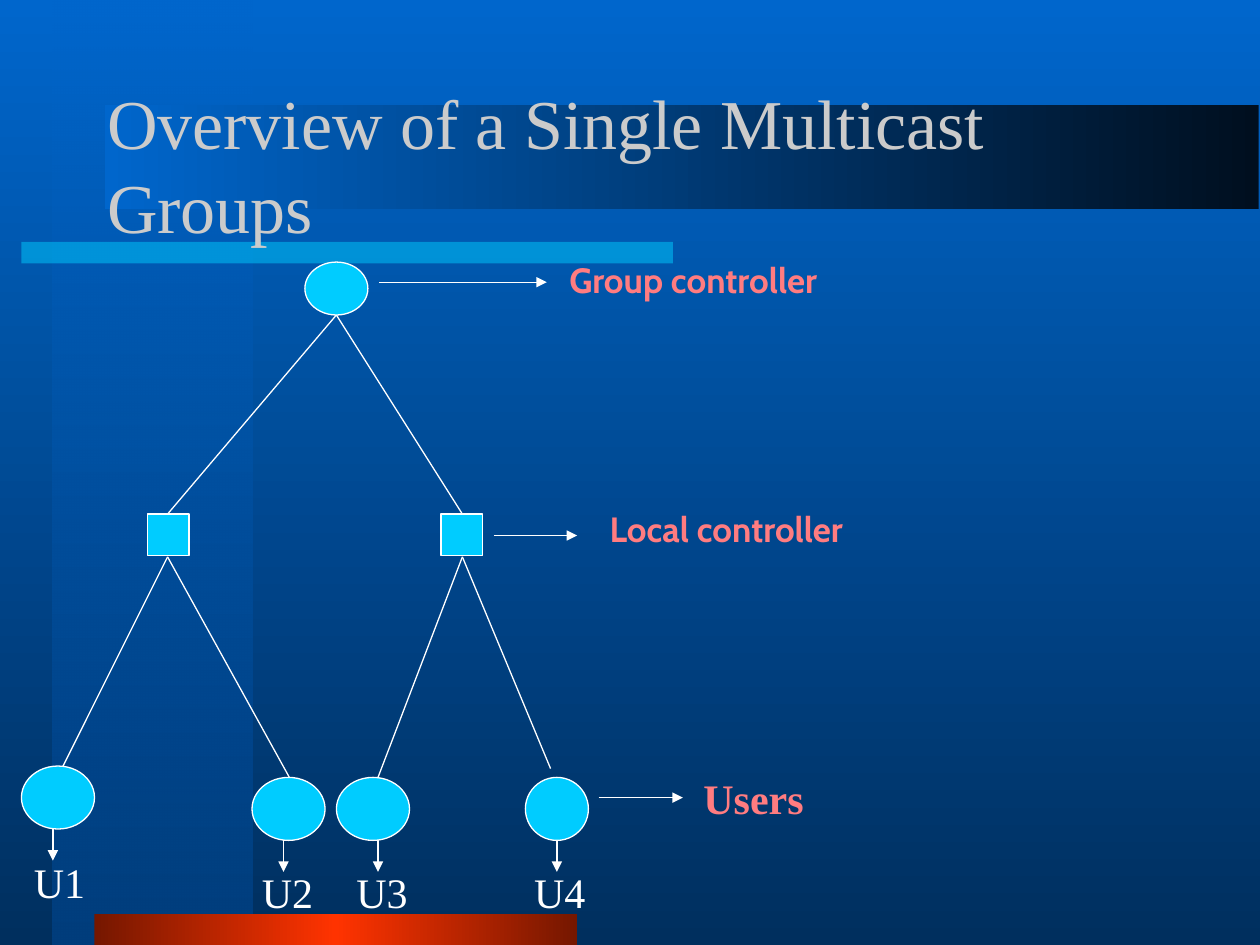
from lxml.etree import SubElement
from pptx import Presentation
from pptx.dml.color import RGBColor
from pptx.enum.shapes import MSO_CONNECTOR, MSO_SHAPE
from pptx.enum.text import MSO_ANCHOR, MSO_AUTO_SIZE, PP_ALIGN
from pptx.oxml.ns import qn
from pptx.util import Inches, Pt

WHITE, CYAN, CORAL, GREY = "FFFFFF", "00CCFF", "FF7C80", "CBCBCB"
SERIF, SANS = "Times New Roman", "Cabin"


def rgb(value):
    return RGBColor.from_string(value)


def set_alpha(clr, percent):
    SubElement(clr, qn("a:alpha")).set("val", str(percent * 1000))


class Deck:
    """Style and current slide, with one method per kind of element."""

    def __init__(self, width, height):
        self.prs = Presentation()
        self.prs.slide_width, self.prs.slide_height = Inches(width), Inches(height)
        self.s = self.prs.slides.add_slide(self.prs.slide_layouts[5])

    def gradient(self, fill, element, stops, angle):
        fill.gradient()
        fill.gradient_angle = angle
        gs_list = element.find(".//" + qn("a:gsLst"))
        for gs in list(gs_list):
            gs_list.remove(gs)
        for pos, color, alpha in stops:
            gs = SubElement(gs_list, qn("a:gs"))
            gs.set("pos", str(pos * 1000))
            clr = SubElement(gs, qn("a:srgbClr"))
            clr.set("val", color)
            if alpha < 100:
                set_alpha(clr, alpha)

    def background(self, stops, angle):
        self.gradient(self.s.background.fill, self.s._element, stops, angle)

    def shape(self, kind, x, y, w, h):
        sp = self.s.shapes.add_shape(kind, Inches(x), Inches(y), Inches(w), Inches(h))
        sp.shadow.inherit = False
        return sp

    def band(self, x, y, w, h, stops, angle):
        sp = self.shape(MSO_SHAPE.RECTANGLE, x, y, w, h)
        sp.line.fill.background()
        self.gradient(sp.fill, sp._element, stops, angle)

    def bar(self, x, y, w, h, color, alpha):
        sp = self.shape(MSO_SHAPE.RECTANGLE, x, y, w, h)
        sp.line.fill.background()
        sp.fill.solid()
        sp.fill.fore_color.rgb = rgb(color)
        set_alpha(sp._element.spPr.find(".//" + qn("a:srgbClr")), alpha)

    def node(self, kind, x, y, w, h):
        sp = self.shape(kind, x, y, w, h)
        sp.fill.solid()
        sp.fill.fore_color.rgb = rgb(CYAN)
        sp.line.color.rgb = rgb(WHITE)
        sp.line.width = Pt(0.75)

    def line(self, x1, y1, x2, y2, arrow=False):
        cxn = self.s.shapes.add_connector(
            MSO_CONNECTOR.STRAIGHT, Inches(x1), Inches(y1), Inches(x2), Inches(y2))
        cxn.line.color.rgb = rgb(WHITE)
        cxn.line.width = Pt(0.75)
        if arrow:
            SubElement(cxn.line._get_or_add_ln(), qn("a:tailEnd")).set("type", "triangle")
        SubElement(cxn._element.spPr, qn("a:effectLst"))

    def run(self, p, text, size, font, color, bold=False):
        r = p.add_run()
        r.text = text
        r.font.size, r.font.name, r.font.bold = Pt(size), font, bold
        r.font.color.rgb = rgb(color)

    def title(self, text, x, y, w, h):
        sp = self.s.shapes.title
        self.s.shapes._spTree.append(sp._element)
        sp.left, sp.top, sp.width, sp.height = Inches(x), Inches(y), Inches(w), Inches(h)
        tf = sp.text_frame
        tf.word_wrap = True
        tf.auto_size = MSO_AUTO_SIZE.NONE
        tf.vertical_anchor = MSO_ANCHOR.MIDDLE
        p = tf.paragraphs[0]
        p.alignment = PP_ALIGN.LEFT
        self.run(p, text, 40, SERIF, GREY)

    def label(self, text, x, y, w, h, size, font, color,
              bold=False, before=0, align=PP_ALIGN.LEFT, wrap=True):
        box = self.s.shapes.add_textbox(Inches(x), Inches(y), Inches(w), Inches(h))
        tf = box.text_frame
        tf.word_wrap = wrap
        tf.auto_size = MSO_AUTO_SIZE.SHAPE_TO_FIT_TEXT
        p = tf.paragraphs[0]
        p.alignment = align
        p.space_before = Pt(before)
        self.run(p, text, size, font, color, bold)


def main():
    deck = Deck(10, 7.5)
    deck.background([(0, "0066CC", 100), (100, "002F5E", 100)], 270)
    deck.band(0.42, 0, 1.58, 7.5, [(0, "0066CC", 50), (100, "003E7D", 100)], 270)
    deck.bar(0.17, 1.92, 5.17, 0.17, CYAN, 50)
    deck.band(0.75, 7.25, 3.83, 0.25,
              [(0, "751700", 100), (50, "FF3300", 100), (100, "751700", 100)], 180)
    deck.band(0.83, 0.83, 9.16, 0.83, [(0, "000F1F", 100), (100, "0066CC", 100)], 180)
    deck.title("Overview of a Single Multicast Groups", 0.75, 0.67, 8.5, 1.25)

    root_x, left_x, right_x = 2.67, 1.33, 3.67
    for x in (left_x, right_x):
        deck.line(root_x, 2.5, x, 4.08)
    for x, end_x, end_y in ((left_x, 0.5, 6.08), (left_x, 2.33, 6.23),
                            (right_x, 3, 6.17), (right_x, 4.37, 6.1)):
        deck.line(x, 4.42, end_x, end_y)

    deck.node(MSO_SHAPE.OVAL, 2.42, 2.08, 0.5, 0.42)
    for x in (1.17, 3.5):
        deck.node(MSO_SHAPE.RECTANGLE, x, 4.08, 0.33, 0.33)

    users = [("U1", 0.17, 6.08, 0.58, 0.42, 0.17, 6.75),
             ("U2", 2, 6.17, 0.58, 2.25, 1.98, 6.83),
             ("U3", 2.67, 6.17, 0.58, 3, 2.73, 6.83),
             ("U4", 4.17, 6.17, 0.5, 4.42, 4.14, 6.83)]
    for name, x, y, w, arrow_x, text_x, text_y in users:
        deck.node(MSO_SHAPE.OVAL, x, y, w, 0.5)
        deck.line(arrow_x, y + 0.5, arrow_x, y + 0.75, arrow=True)
        deck.label(name, text_x, text_y, 0.61, 0.5, 24, SERIF, WHITE, wrap=False)

    for x1, x2, y in ((3.01, 4.34, 2.24), (3.92, 4.58, 4.25), (4.75, 5.42, 6.33)):
        deck.line(x1, y, x2, y, arrow=True)
    for text, x, y in (("Group controller", 4.42, 2), ("Local controller", 4.74, 3.98)):
        deck.label(text, x, y, 2.83, 0.44, 20, SANS, CORAL, bold=True, before=12.5)
    deck.label("Users", 5.44, 6.08, 1.08, 0.5, 24, SERIF, CORAL,
               bold=True, before=15, align=PP_ALIGN.CENTER)

    deck.prs.save("out.pptx")


if __name__ == "__main__":
    main()
